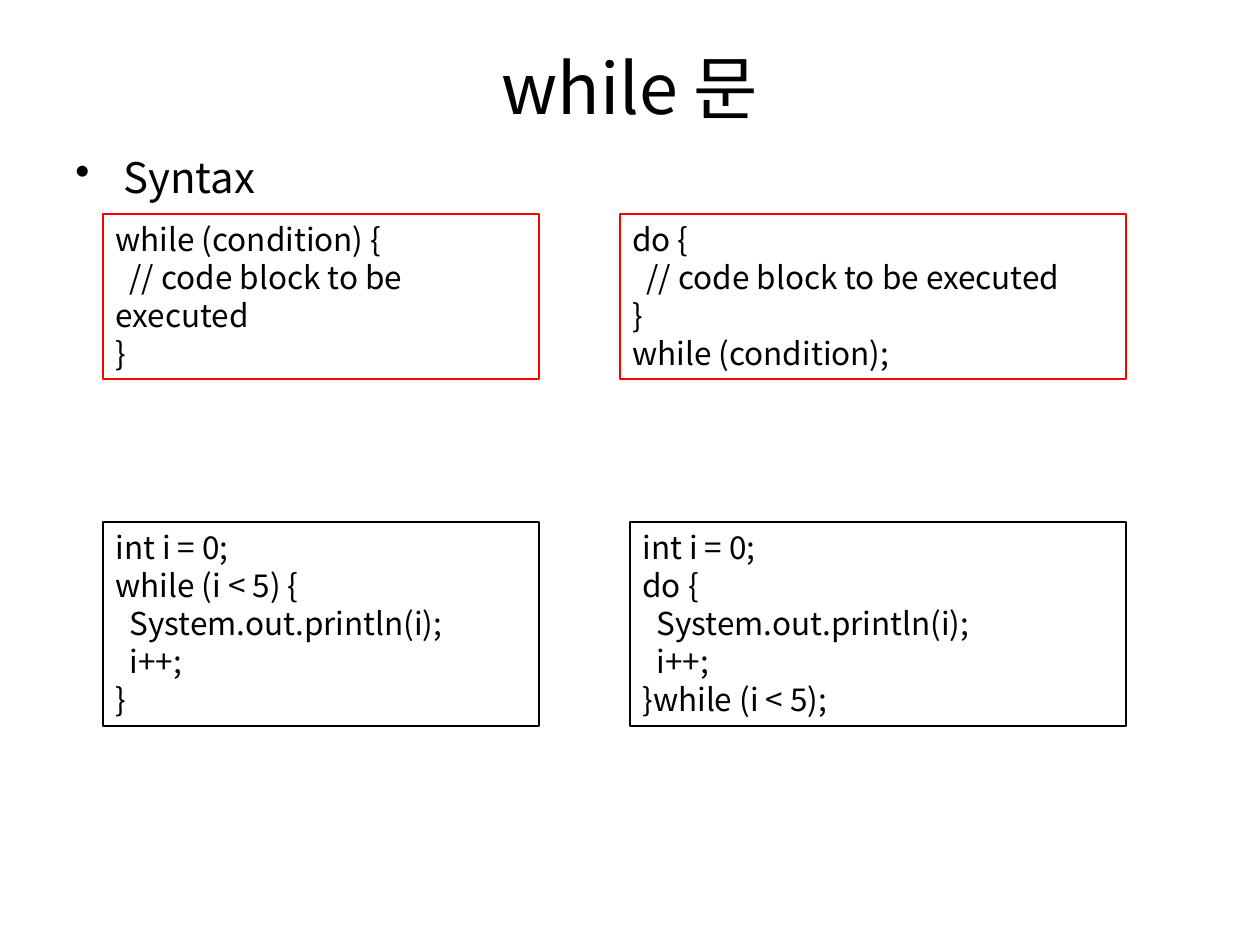
"""Build a slide on the syntax of while and do-while loops."""
from lxml import etree
from pptx import Presentation
from pptx.dml.color import RGBColor
from pptx.enum.shapes import MSO_SHAPE
from pptx.enum.text import MSO_ANCHOR, PP_ALIGN
from pptx.oxml.ns import qn
from pptx.util import Pt

RECTANGLE = MSO_SHAPE.RECTANGLE
TOP, MIDDLE = MSO_ANCHOR.TOP, MSO_ANCHOR.MIDDLE
LEFT, CENTER = PP_ALIGN.LEFT, PP_ALIGN.CENTER

FONT = "Noto Sans CJK KR"
COLORS = {"text": "000000", "syntax": "FF0000", "example": "000000"}
CODE_SIZE, CODE_PITCH = 18, 21.7
BODY_SIZE, BODY_PITCH = 24, 29
SYNTAX_ROW = (214, 165)
EXAMPLE_ROW = (522, 204)

CODE_BOXES = [
    (103, 436, SYNTAX_ROW, "syntax",
     ["while (condition) {", "  // code block to be executed", "}"]),
    (620, 506, SYNTAX_ROW, "syntax",
     ["do {", "  // code block to be executed", "}", "while (condition);"]),
    (103, 436, EXAMPLE_ROW, "example",
     ["int i = 0;", "while (i < 5) {", "  System.out.println(i);", "  i++;", "}"]),
    (630, 496, EXAMPLE_ROW, "example",
     ["int i = 0;", "do {", "  System.out.println(i);", "  i++;", "}while (i < 5);"]),
]


def px(length):
    """Turn pixels into EMU at 126 pixels to the inch."""
    return round(length * 914400 / 126)


def color(name):
    """Return the named colour."""
    return RGBColor.from_string(COLORS[name])


def write_lines(frame, lines, size, align, anchor, pitch=None):
    """Fill a text frame with one formatted paragraph per line."""
    frame.text = "\n".join(lines)
    frame.word_wrap = True
    frame.vertical_anchor = anchor
    for para in frame.paragraphs:
        para.alignment = align
        if pitch:
            para.line_spacing = Pt(pitch)
        for span in para.runs:
            span.font.size = Pt(size)
            span.font.name = FONT
            span.font.color.rgb = color("text")
            east_asian = etree.SubElement(span.font._element, qn("a:ea"))
            east_asian.set("typeface", FONT)


def format_title(slide, text):
    """Place and format the title placeholder."""
    title = slide.shapes.title
    title.left, title.top, title.width, title.height = map(px, (63, 38, 1134, 97))
    write_lines(title.text_frame, [text], 40, CENTER, MIDDLE)


def add_bullet(slide, text):
    """Add the bulleted body text."""
    box = slide.shapes.add_textbox(*map(px, (63, 145, 1134, 699)))
    write_lines(box.text_frame, [text], BODY_SIZE, LEFT, TOP, BODY_PITCH)
    properties = box.text_frame.paragraphs[0]._p.get_or_add_pPr()
    properties.set("marL", str(px(48)))
    properties.set("indent", str(px(-48)))
    bullet = etree.SubElement(properties, qn("a:buChar"))
    bullet.set("char", "•")


def add_code_box(slide, left, width, row, outline, lines):
    """Add an outlined box of code."""
    top, height = row
    box = slide.shapes.add_shape(RECTANGLE, *map(px, (left, top, width, height)))
    box.shadow.inherit = False
    box.fill.background()
    box.line.color.rgb = color(outline)
    box.line.width = Pt(0.75)
    write_lines(box.text_frame, lines, CODE_SIZE, LEFT, TOP, CODE_PITCH)


def main():
    """Build and save the deck."""
    deck = Presentation()
    deck.slide_width, deck.slide_height = px(1260), px(945)
    slide = deck.slides.add_slide(deck.slide_layouts[5])
    format_title(slide, "while 문")
    add_bullet(slide, "Syntax")
    for code_box in CODE_BOXES:
        add_code_box(slide, *code_box)
    deck.save("out.pptx")


if __name__ == "__main__":
    main()
